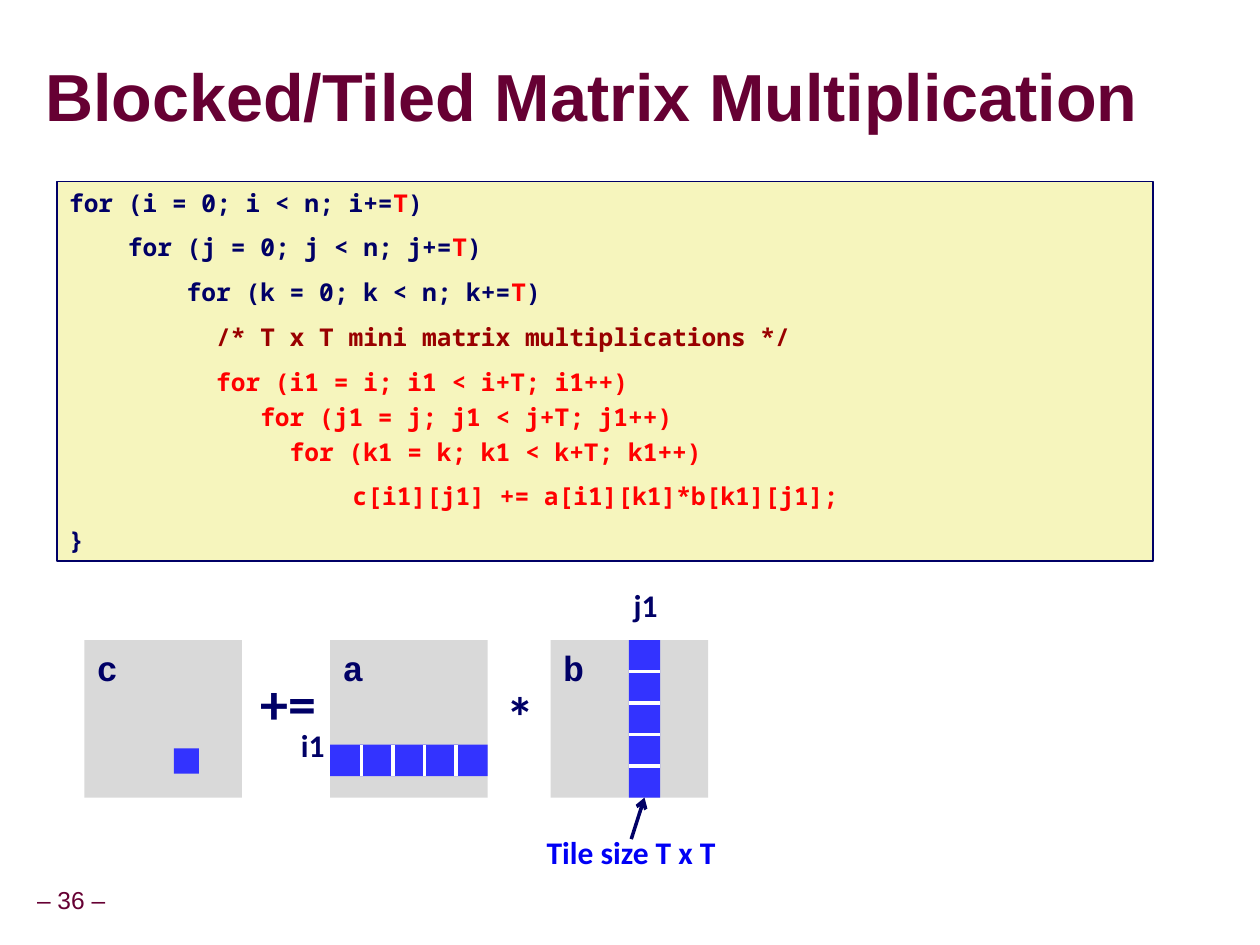
from lxml import etree
from pptx import Presentation
from pptx.dml.color import RGBColor
from pptx.enum.shapes import MSO_CONNECTOR, MSO_SHAPE
from pptx.enum.text import MSO_ANCHOR, PP_ALIGN
from pptx.oxml import parse_xml
from pptx.oxml.ns import qn
from pptx.util import Inches, Pt

RECTANGLE = MSO_SHAPE.RECTANGLE
STRAIGHT = MSO_CONNECTOR.STRAIGHT
TOP, MIDDLE = MSO_ANCHOR.TOP, MSO_ANCHOR.MIDDLE
LEFT, CENTER = PP_ALIGN.LEFT, PP_ALIGN.CENTER
BOTTOM_SITE = 2

NAVY, MAROON, RED, COMMENT = "000066", "660033", "FF0000", "990000"
TILE_BLUE, LABEL_BLUE, GRAY, WHITE = "3333FF", "0000F5", "D9D9D9", "FFFFFF"
CODE_FILL = "F6F5BD"

MATRIX, TILE = 1.25, 0.25  # side lengths in inches
MATRIX_TOP = 5.08

TEXT_SHADOW = (
    '<a:effectLst xmlns:a="http://schemas.openxmlformats.org/drawingml/2006/main">'
    '<a:outerShdw dist="50800" dir="2700000" algn="ctr">'
    '<a:srgbClr val="B2B2B2"/></a:outerShdw></a:effectLst>'
)

# Each line is (spans, line spacing)
CODE = [
    ([("for (i = 0; i < n; i+=", NAVY), ("T", RED), (")", NAVY)], 1),
    ([("    for (j = 0; j < n; j+=", NAVY), ("T", RED), (")", NAVY)], 1),
    ([("        for (k = 0; k < n; k+=", NAVY), ("T", RED), (")", NAVY)], 1),
    ([("          /* T x T mini matrix multiplications */", COMMENT)], 1),
    ([("          for (i1 = i; i1 < i+T; i1++)", RED)], 1),
    ([("             for (j1 = j; j1 < j+T; j1++)", RED)], 0.65),
    ([("               for (k1 = k; k1 < k+T; k1++)", RED)], 0.65),
    ([("\t               c[i1][j1] += a[i1][k1]*b[k1][j1];", RED)], 1),
    ([("}", NAVY)], 1),
]


def color(value):
    return RGBColor.from_string(value)


def add_span(para, text, size, font, ink, bold=True):
    span = para.add_run()
    span.text = text
    span.font.size = Pt(size)
    span.font.name = font
    span.font.bold = bold
    span.font.color.rgb = color(ink)
    return span


def set_frame(box, anchor=TOP, margins=(0.1, 0.05), wrap=True):
    frame = box.text_frame
    frame.word_wrap = wrap
    frame.vertical_anchor = anchor
    frame.margin_left = frame.margin_right = Inches(margins[0])
    frame.margin_top = frame.margin_bottom = Inches(margins[1])
    return frame


def add_text(page, text, left, top, width, height, size=18, font="Calibri", ink=NAVY,
             bold=True, align=LEFT, spacing=0.65, **frame_format):
    box = page.shapes.add_textbox(Inches(left), Inches(top), Inches(width), Inches(height))
    para = set_frame(box, **frame_format).paragraphs[0]
    para.alignment = align
    para.line_spacing = spacing
    return add_span(para, text, size, font, ink, bold)


def add_box(page, left, top, width, height, fill, outline=None):
    box = page.shapes.add_shape(
        RECTANGLE, Inches(left), Inches(top), Inches(width), Inches(height))
    box.shadow.inherit = False
    box.fill.solid()
    box.fill.fore_color.rgb = color(fill)
    if outline:
        box.line.color.rgb = color(outline)
        box.line.width = Pt(1)
    else:
        box.line.fill.background()
    return box


def add_line(page, start_x, start_y, end_x, end_y, ink):
    line = page.shapes.add_connector(
        STRAIGHT, Inches(start_x), Inches(start_y), Inches(end_x), Inches(end_y))
    line.line.color.rgb = color(ink)
    line.line.width = Pt(2)
    etree.SubElement(line._element.spPr, qn("a:effectLst"))
    return line


def add_title(page, left, top, width, height):
    span = add_text(page, "Blocked/Tiled Matrix Multiplication", left, top, width, height,
                    size=38, font="Arial", ink=MAROON, spacing=0.87,
                    anchor=MIDDLE, margins=(0, 0))
    fill = span._r.get_or_add_rPr().find(qn("a:solidFill"))
    fill.addnext(parse_xml(TEXT_SHADOW))


def add_code(page, left, top, width, height):
    frame = set_frame(add_box(page, left, top, width, height, CODE_FILL, NAVY))
    for index, (spans, spacing) in enumerate(CODE):
        para = frame.add_paragraph() if index else frame.paragraphs[0]
        para.alignment = LEFT
        para.line_spacing = spacing
        para.space_before = Pt(8.8 if index else 0)
        for text, ink in spans:
            add_span(para, text, 14, "Noto Sans Mono", ink)


def add_matrix(page, name, left, top):
    frame = set_frame(add_box(page, left, top, MATRIX, MATRIX, GRAY))
    para = frame.paragraphs[0]
    para.alignment = LEFT
    add_span(para, name, 20, "Courier New", NAVY)


def add_tile_strip(page, left, top, vertical=False):
    """Draw a band across a matrix, cut into square tiles."""
    width, height = (TILE, MATRIX) if vertical else (MATRIX, TILE)
    strip = add_box(page, left, top, width, height, TILE_BLUE)
    for index in range(1, round(MATRIX / TILE)):
        offset = index * TILE
        if vertical:
            add_line(page, left, top + offset, left + TILE, top + offset, WHITE)
        else:
            add_line(page, left + offset, top, left + offset, top + TILE, WHITE)
    return strip


def add_diagram(page, left, top):
    # Matrices c += a * b
    a_left, b_left = left + 1.95, left + 3.7
    for name, matrix_left in (("c", left), ("a", a_left), ("b", b_left)):
        add_matrix(page, name, matrix_left, top)
    add_text(page, "+=", left + 1.3, top + 0.34, 0.64, 0.45, size=32, wrap=False)
    add_text(page, "*", left + 3.25, top + 0.45, 0.42, 0.45, size=32, wrap=False)

    # Result tile, tile row and tile column
    add_box(page, left + 0.71, top + 0.86, 0.2, 0.2, TILE_BLUE)
    add_tile_strip(page, a_left, top + 0.83)
    column = add_tile_strip(page, b_left + 0.62, top, vertical=True)

    # Index labels
    add_text(page, "i1", left + 1.62, top + 0.73, 0.39, 0.3, wrap=False)
    add_text(page, "j1", left + 4.26, top - 0.38, 0.39, 0.3, wrap=False)

    # Tile size callout
    add_text(page, "Tile size T x T", left + 3.57, top + 1.58, 1.55, 0.3,
             ink=LABEL_BLUE, wrap=False)
    arrow = add_line(page, left + 4.34, top + 1.58, left + 4.45, top + MATRIX, NAVY)
    arrow.end_connect(column, BOTTOM_SITE)
    etree.SubElement(arrow.line._get_or_add_ln(), qn("a:tailEnd"), type="arrow")


def add_page_number(page, left, top, width, height):
    add_text(page, "– 36 –", left, top, width, height, size=14, font="Arial", ink=MAROON,
             bold=False, align=CENTER, spacing=0.9, anchor=MIDDLE,
             margins=(0.05, 0.05), wrap=False)


def main():
    deck = Presentation()
    deck.slide_width, deck.slide_height = Inches(10), Inches(7.5)
    page = deck.slides.add_slide(deck.slide_layouts[6])
    add_page_number(page, -0.09, 7, 1.31, 0.31)
    add_title(page, 0.36, 0.37, 9.53, 0.85)
    add_code(page, 0.45, 1.44, 8.7, 3.01)
    add_diagram(page, 0.67, MATRIX_TOP)
    deck.save("out.pptx")


if __name__ == "__main__":
    main()
